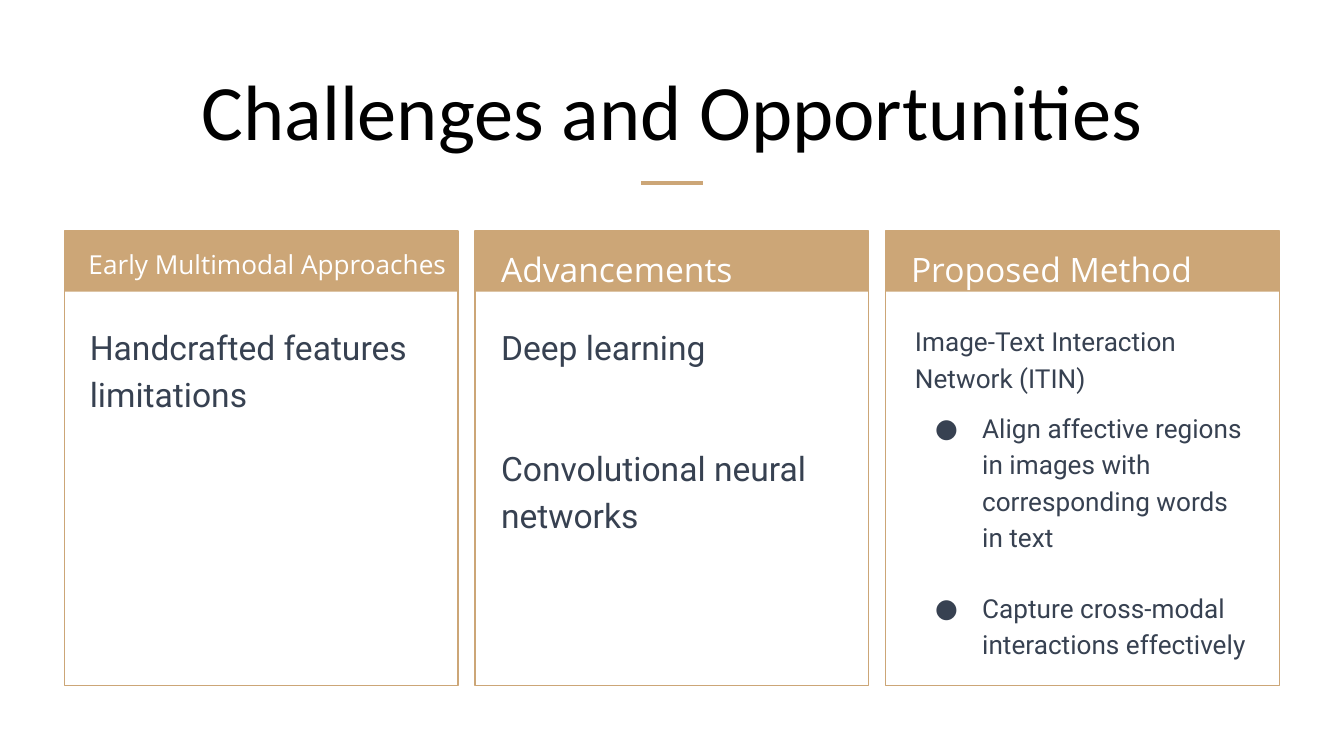
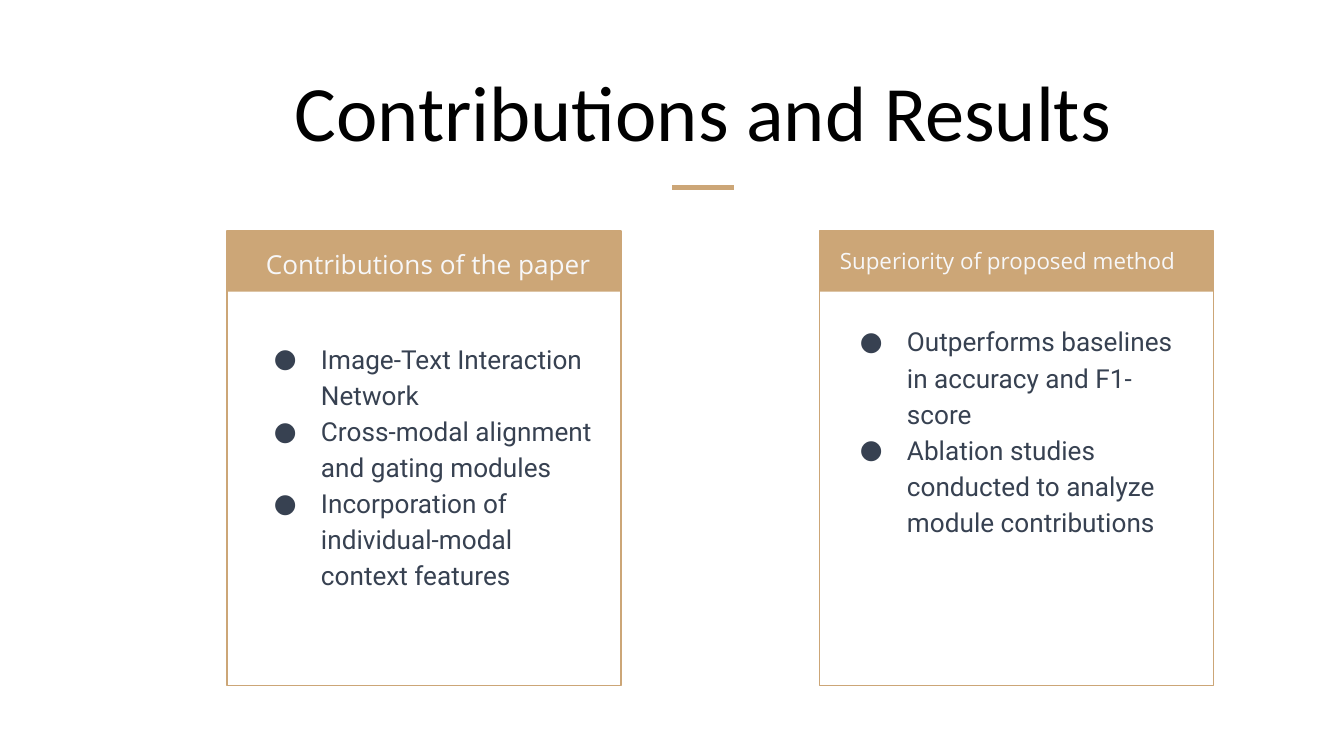
from dataclasses import dataclass

from lxml.etree import SubElement as Sub
from pptx import Presentation
from pptx.dml.color import RGBColor as Rgb
from pptx.enum.shapes import MSO_CONNECTOR as Conn, MSO_SHAPE as Shape
from pptx.enum.text import MSO_ANCHOR as Anchor, PP_ALIGN as Align
from pptx.oxml.ns import qn
from pptx.util import Pt

PX = 4572
WIDE, HIGH = 2000, 1125
INK = {"black": "000000", "gold": "CCA677", "slate": "374151",
       "white": "FFFFFF", "pale": "F7F7F8"}
TOP, CARD_W, CARD_H, BAND_H = 344, 586, 676, 90
HEAD_Y, BODY_Y, BODY_W, BODY_H = 342, 458, 546, 560
PAD, MARGIN, HANG = 20, 100, 70


@dataclass
class Style:
    font: str
    size: int
    ink: str


@dataclass
class Item:
    text: str
    dot: bool = False
    gap: int = 0


@dataclass
class Card:
    left: int
    head: str
    style: Style
    head_x: int
    head_w: int
    body_x: int
    size: int
    items: list[Item]
    body_y: int = BODY_Y


@dataclass
class Page:
    title: str
    left: int
    top: int
    rule: int
    cards: list[Card]


def rgb(name: str) -> Rgb:
    return Rgb.from_string(INK[name])


def scale(*sizes: int) -> list[int]:
    return [size * PX for size in sizes]


def bullet(para, ink: str, font: str) -> None:
    props = para._p.get_or_add_pPr()
    props.set("marL", str(MARGIN * PX))
    props.set("indent", str(-HANG * PX))
    Sub(Sub(props, qn("a:buClr")), qn("a:srgbClr"), val=INK[ink])
    Sub(props, qn("a:buFont"), typeface=font)
    Sub(props, qn("a:buChar"), char="●")


def write(slide, box: tuple[int, int, int, int], items: list[Item],
          style: Style, title: bool = False) -> None:
    frame = slide.shapes.add_textbox(*scale(*box)).text_frame
    frame.word_wrap = True
    frame.margin_left = frame.margin_right = PAD * PX
    frame.margin_top = frame.margin_bottom = PAD * PX
    frame.vertical_anchor = Anchor.BOTTOM if title else Anchor.TOP
    for i, item in enumerate(items):
        para = frame.add_paragraph() if i else frame.paragraphs[0]
        para.alignment = Align.CENTER if title else Align.LEFT
        para.line_spacing = 1.0 if title else 1.15
        para.space_before = Pt(item.gap)
        if item.dot:
            bullet(para, style.ink, style.font)
        run = para.add_run()
        run.text = item.text
        run.font.name = style.font
        run.font.size = Pt(style.size)
        run.font.color.rgb = rgb(style.ink)


def draw_rule(slide, left: int, top: int) -> None:
    rule = slide.shapes.add_connector(
        Conn.STRAIGHT, *scale(left, top, left + 92, top))
    rule.line.color.rgb = rgb("gold")
    rule.line.width = Pt(2.25)
    Sub(rule._element.spPr, qn("a:effectLst"))


def draw_card(slide, card: Card) -> None:
    group = slide.shapes.add_group_shape()
    frame, band = [
        group.shapes.add_shape(
            Shape.RECTANGLE, *scale(card.left, TOP, CARD_W, high))
        for high in (CARD_H, BAND_H)]
    frame.shadow.inherit = band.shadow.inherit = False
    frame.fill.background()
    frame.line.color.rgb = rgb("gold")
    frame.line.width = Pt(0.75)
    band.fill.solid()
    band.fill.fore_color.rgb = rgb("gold")
    band.line.fill.background()
    write(slide, (card.left + card.head_x, HEAD_Y, card.head_w, BAND_H),
          [Item(card.head)], card.style)
    write(slide, (card.left + card.body_x, card.body_y, BODY_W, BODY_H),
          card.items, Style("Roboto", card.size, "slate"))


def draw_page(deck, page: Page) -> None:
    slide = deck.slides.add_slide(deck.slide_layouts[6])
    write(slide, (page.left, page.top, 1864, 182), [Item(page.title)],
          Style("Calibri", 42, "black"), title=True)
    draw_rule(slide, page.left + 886, page.rule)
    for card in page.cards:
        draw_card(slide, card)


def head(size: int, ink: str = "white") -> Style:
    return Style("Open Sans", size, ink)


def third(i: int) -> int:
    return 96 + 611 * i


PAGES = [
    Page("Challenges and Opportunities", 68, 70, 272, [
        Card(third(0), "Early Multimodal Approaches", head(14),
             16, 578, 18, 18, [Item("Handcrafted features limitations")]),
        Card(third(1), "Advancements", head(18), 19, 544, 19, 18, [
            Item("Deep learning"),
            Item("Convolutional neural networks", gap=40)]),
        Card(third(2), "Proposed Method", head(18), 18, 544, 24, 14, [
            Item("Image-Text Interaction Network (ITIN)"),
            Item("Align affective regions in images with "
                 "corresponding words in text", True, 8),
            Item("Capture cross-modal interactions effectively",
                 True, 19)]),
    ]),
    Page("Contributions and Results", 114, 72, 279, [
        Card(338, "Contributions of the paper", head(14, "pale"),
             38, 578, 20, 14, [
                 Item("Image-Text Interaction Network", True),
                 Item("Cross-modal alignment and gating modules", True),
                 Item("Incorporation of individual-modal context features",
                      True)], body_y=484),
        Card(1220, "Superiority of proposed method", head(12, "pale"),
             10, 544, 10, 14, [
                 Item("Outperforms baselines in accuracy and F1-score", True),
                 Item("Ablation studies conducted to analyze "
                      "module contributions", True)]),
    ]),
]


def main() -> None:
    deck = Presentation()
    deck.slide_width, deck.slide_height = scale(WIDE, HIGH)
    for page in PAGES:
        draw_page(deck, page)
    deck.save("out.pptx")


if __name__ == "__main__":
    main()
